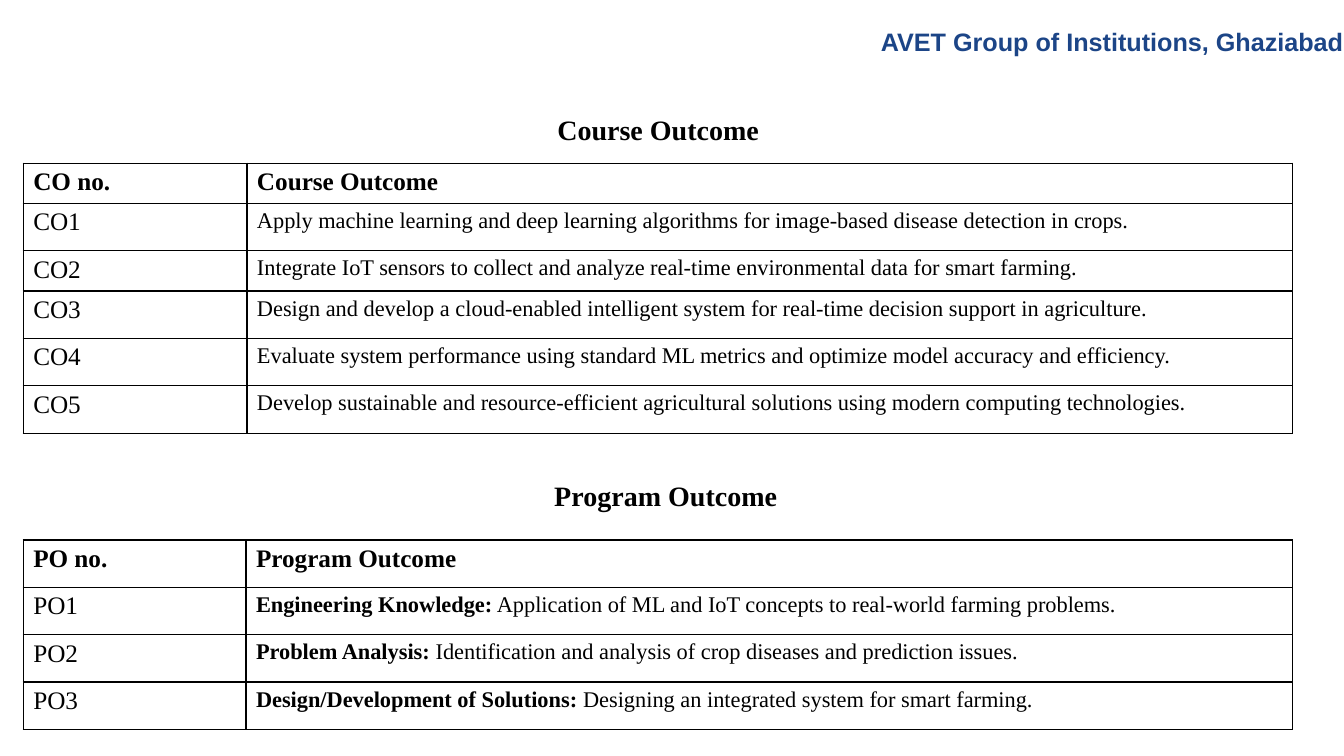
"""Build a slide with the course and program outcome tables."""
import dataclasses

import lxml.etree
import pptx
import pptx.dml.color
import pptx.enum.text
import pptx.oxml.ns
import pptx.util

Pt = pptx.util.Pt
SERIF = "Times New Roman"
BLACK = "000000"
WHITE = "FFFFFF"


@dataclasses.dataclass(frozen=True)
class Run:
    text: str
    size: float
    bold: bool = False
    font: str = SERIF
    color: str = BLACK


@dataclasses.dataclass(frozen=True)
class Label:
    left: float
    top: float
    width: float
    height: float
    run: Run
    center: bool = True


@dataclasses.dataclass(frozen=True)
class Grid:
    top: float
    cols: tuple[float, float]
    rows: tuple[float, ...]
    code: str
    title: str
    items: tuple[tuple[str, str], ...]


LEFT = 16.56
LOW, HIGH = 28.8, 33.84

GRIDS = (
    Grid(116.5, (159.84, 746.64), (LOW, HIGH, LOW, HIGH, HIGH, HIGH), "CO", "Course Outcome", (
        ("", "Apply machine learning and deep learning algorithms for image-based disease detection in crops."),
        ("", "Integrate IoT sensors to collect and analyze real-time environmental data for smart farming."),
        ("", "Design and develop a cloud-enabled intelligent system for real-time decision support in agriculture."),
        ("", "Evaluate system performance using standard ML metrics and optimize model accuracy and efficiency."),
        ("", "Develop sustainable and resource-efficient agricultural solutions using modern computing technologies."),
    )),
    Grid(385.7, (159.12, 747.36), (HIGH,) * 4, "PO", "Program Outcome", (
        ("Engineering Knowledge:", " Application of ML and IoT concepts to real-world farming problems."),
        ("Problem Analysis:", " Identification and analysis of crop diseases and prediction issues."),
        ("Design/Development of Solutions:", " Designing an integrated system for smart farming."),
    )),
)

LABELS = (
    Label(270, 77.04, 400.32, 31.68, Run("Course Outcome", 20, True)),
    Label(235.44, 338.4, 480.24, 31.68, Run("Program Outcome", 20, True)),
    Label(622.08, 15.12, 349.92, 28.8,
          Run("AVET Group of Institutions, Ghaziabad", 18, True, "Arial", "1C4587"), False),
)


def tint(code: str) -> pptx.dml.color.RGBColor:
    return pptx.dml.color.RGBColor.from_string(code)


def write(para, runs: list[Run]) -> None:
    for run in runs:
        part = para.add_run()
        part.text = run.text
        part.font.size = Pt(run.size)
        part.font.bold = run.bold
        part.font.name = run.font
        part.font.color.rgb = tint(run.color)


def frame(cell) -> None:
    name = pptx.oxml.ns.qn
    props = cell._tc.get_or_add_tcPr()
    for side in ("a:lnL", "a:lnR", "a:lnT", "a:lnB"):
        line = lxml.etree.SubElement(props, name(side), w=str(Pt(1)))
        fill = lxml.etree.SubElement(line, name("a:solidFill"))
        lxml.etree.SubElement(fill, name("a:srgbClr"), val=BLACK)
    cell.fill.solid()
    cell.fill.fore_color.rgb = tint(WHITE)


def draw_grid(slide, grid: Grid) -> None:
    table = slide.shapes.add_table(
        len(grid.rows), len(grid.cols), Pt(LEFT), Pt(grid.top),
        Pt(sum(grid.cols)), Pt(sum(grid.rows))).table
    table.first_row = table.horz_banding = False
    for col, width in zip(table.columns, grid.cols):
        col.width = Pt(width)
    for row, height in zip(table.rows, grid.rows):
        row.height = Pt(height)
    lines = [([Run(f"{grid.code} no.", 18, True)], [Run(grid.title, 18, True)])]
    for num, (lead, text) in enumerate(grid.items, 1):
        body = [Run(lead, 16, True)] if lead else []
        lines.append(([Run(f"{grid.code}{num}", 18)], body + [Run(text, 16)]))
    for row, line in zip(table.rows, lines):
        for cell, runs in zip(row.cells, line):
            frame(cell)
            write(cell.text_frame.paragraphs[0], runs)


def draw_label(slide, label: Label) -> None:
    box = slide.shapes.add_textbox(
        Pt(label.left), Pt(label.top), Pt(label.width), Pt(label.height))
    text = box.text_frame
    text.word_wrap = True
    text.auto_size = pptx.enum.text.MSO_AUTO_SIZE.SHAPE_TO_FIT_TEXT
    para = text.paragraphs[0]
    align = pptx.enum.text.PP_ALIGN
    para.alignment = align.CENTER if label.center else align.LEFT
    write(para, [label.run])


def main() -> None:
    deck = pptx.Presentation()
    deck.slide_width, deck.slide_height = Pt(960), Pt(540)
    slide = deck.slides.add_slide(deck.slide_layouts[6])
    for grid in GRIDS:
        draw_grid(slide, grid)
    for label in LABELS:
        draw_label(slide, label)
    deck.save("out.pptx")


if __name__ == "__main__":
    main()
